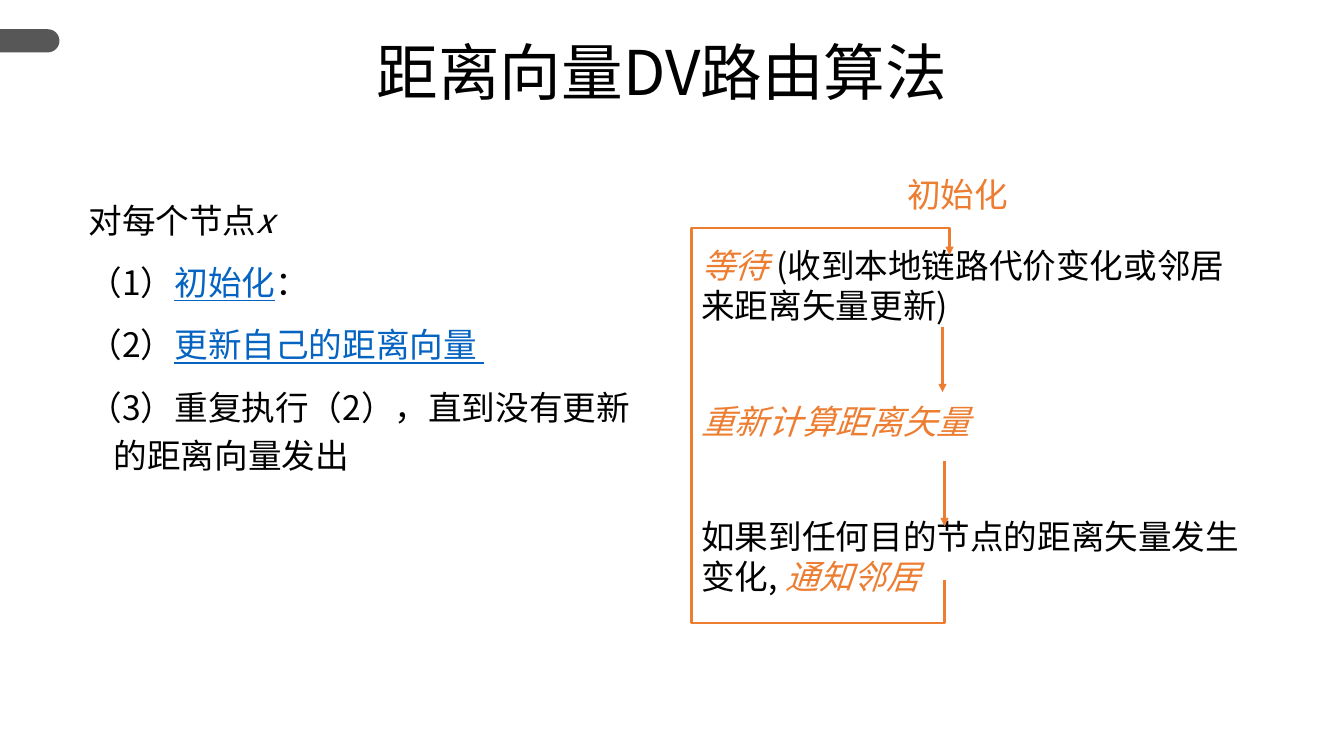
from dataclasses import dataclass
from lxml.etree import SubElement
from pptx import Presentation
from pptx.dml.color import RGBColor
from pptx.enum.shapes import MSO_CONNECTOR, MSO_SHAPE
from pptx.enum.text import PP_ALIGN
from pptx.oxml.ns import qn
from pptx.util import Inches, Pt


@dataclass(frozen=True)
class Theme:
    font: str = "Noto Sans CJK SC"
    text: RGBColor = RGBColor(0x00, 0x00, 0x00)
    accent: RGBColor = RGBColor(0xED, 0x7D, 0x31)
    link: RGBColor = RGBColor(0x05, 0x63, 0xC1)
    tab: RGBColor = RGBColor(0x57, 0x57, 0x57)
    title_size: int = 44
    body_size: int = 24
    line_width: float = 1.5


T = Theme()
WIDTH, HEIGHT = Inches(13.33), Inches(7.5)
COL, ROW = WIDTH / 40, HEIGHT / 30

# Run styles
PLAIN = {"color": T.text}
ITALIC = {"color": T.text, "italic": True}
LINK = {"color": T.link, "underline": True}
ACCENT = {"color": T.accent}
STEP = {"color": T.accent, "italic": True}


def col(n):
    return round(n * COL)


def row(n):
    return round(n * ROW)


def add_run(p, text, size, color, italic=None, underline=None):
    r = p.add_run()
    r.text = text
    font = r.font
    font.size, font.name = Pt(size), T.font
    font.italic, font.underline = italic, underline
    font.color.rgb = color
    SubElement(r._r.get_or_add_rPr(), qn("a:ea")).set("typeface", T.font)


def add_text(s, box, paragraphs, size=T.body_size, spacing=1.0, before=0,
             align=PP_ALIGN.LEFT, hanging=0, top_inset=0.2):
    x, y, w, h = box
    tf = s.shapes.add_textbox(col(x), row(y), col(w), row(h)).text_frame
    tf.word_wrap = True
    tf.margin_top = row(top_inset)
    for i, runs in enumerate(paragraphs):
        p = tf.paragraphs[0] if i == 0 else tf.add_paragraph()
        p.alignment, p.line_spacing = align, spacing
        p.space_before = Pt(before if i else 0)
        if hanging:
            pPr = p._p.get_or_add_pPr()
            pPr.set("marL", str(col(hanging)))
            pPr.set("indent", str(-col(hanging)))
        for text, style in runs:
            add_run(p, text, size, **style)


def style_arrow(shape):
    shape.line.color.rgb = T.accent
    shape.line.width = Pt(T.line_width)
    SubElement(shape.line._get_or_add_ln(), qn("a:tailEnd")).set("type", "triangle")


def add_tab(s, box):
    """Bar at the left edge, rounded on its right end."""
    x, y, w, h = box
    width, height = col(w), row(h)
    shift = (width - height) // 2
    sp = s.shapes.add_shape(MSO_SHAPE.ROUND_2_SAME_RECTANGLE,
                            col(x) + shift, row(y) - shift, height, width)
    sp.rotation = 90
    sp.adjustments[0] = 0.5
    sp.shadow.inherit = False
    sp.fill.solid()
    sp.fill.fore_color.rgb = T.tab
    sp.line.fill.background()


def add_title(s, box):
    add_text(s, box, [[("距离向量DV路由算法", PLAIN)]], size=T.title_size,
             spacing=0.9, align=PP_ALIGN.CENTER, top_inset=0.1)


def add_steps(s, box):
    add_text(s, box, [
        [("对每个节点", PLAIN), ("x", ITALIC)],
        [("（1）", PLAIN), ("初始化", LINK), ("：", PLAIN)],
        [("（2）", PLAIN), ("更新自己的距离向量 ", LINK)],
        [("（3）重复执行（2），直到没有更新的距离向量发出", PLAIN)],
    ], spacing=1.2, before=10, hanging=0.75)


def add_flow(s, box):
    x, y, w, h = box
    # Stages of the loop
    add_text(s, box, [
        [("等待", STEP), (" (收到本地链路代价变化或邻居来距离矢量更新)", PLAIN)],
        [("重新计算距离矢量", STEP)],
        [("如果到任何目的节点的距离矢量发生变化, ", PLAIN), ("通知邻居", STEP)],
    ], before=53.5, top_inset=2.48)

    # Arrows between the stages
    for dx, dy in ((7.47, 5.72), (7.53, 11.04)):
        line = s.shapes.add_connector(MSO_CONNECTOR.STRAIGHT, col(x + dx), row(y + dy),
                                      col(x + dx), row(y + dy + 2.6))
        style_arrow(line)
        SubElement(line._element.spPr, qn("a:effectLst"))

    # Return path from the last stage to the first
    top, bottom = 1.8, 17.48
    points = [(7.53, 15.76), (7.53, bottom), (0, bottom), (0, top), (7.68, top), (7.68, 2.88)]
    corners = [(col(x + dx), row(y + dy)) for dx, dy in points]
    builder = s.shapes.build_freeform(*corners[0])
    builder.add_line_segments(corners[1:], close=False)
    loop = builder.convert_to_shape()
    loop.shadow.inherit = False
    loop.fill.background()
    style_arrow(loop)

    # Entry label
    add_text(s, (x + 5.34, y - 0.52, 5.16, 2), [[("初始化", ACCENT)]],
             align=PP_ALIGN.CENTER)


def main():
    prs = Presentation()
    prs.slide_width, prs.slide_height = WIDTH, HEIGHT
    s = prs.slides.add_slide(prs.slide_layouts[6])
    add_tab(s, (0, 1.16, 1.77, 0.92))
    add_title(s, (0, 1.56, 39.4, 5))
    add_steps(s, (2.34, 7.4, 17.16, 18.8))
    add_flow(s, (20.58, 7.24, 16.8, 19.8))
    prs.save("out.pptx")


if __name__ == "__main__":
    main()
